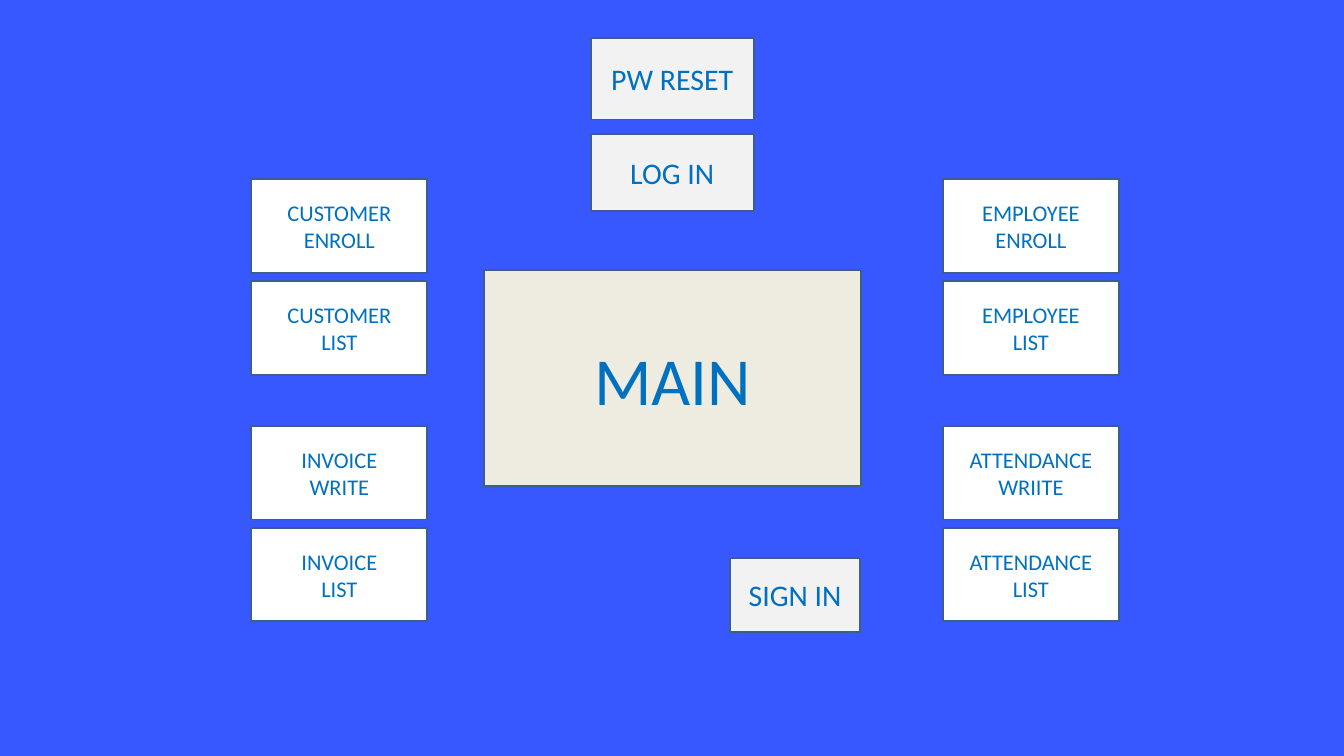
"""Build a screen map slide: a main screen surrounded by its entry and record screens."""

from dataclasses import dataclass

import pptx
import pptx.dml.color
import pptx.enum.shapes
import pptx.enum.text
import pptx.presentation
import pptx.slide
import pptx.text.text
import pptx.util


@dataclass(frozen=True)
class Theme:
    """Colours, font and type sizes of the slide."""

    background: str = "3758FF"
    main_fill: str = "EEECE1"
    access_fill: str = "F2F2F2"
    record_fill: str = "FFFFFF"
    outline: str = "3A5F8C"
    text: str = "0070C0"
    font: str = "Calibri"
    main_size: float = 72
    access_size: float = 32
    record_size: float = 24
    outline_width: float = 2


@dataclass(frozen=True)
class Screen:
    """A screen box, with its place and size in points."""

    label: str
    left: float
    top: float
    width: float
    height: float
    fill: str
    size: float


THEME = Theme()
SLIDE_WIDTH, SLIDE_HEIGHT = 1440, 810
RECORD_WIDTH, RECORD_HEIGHT = 188.6, 100.1
PAIR_TOPS = (192.2, 456.6)
PAIR_PITCH = 109.1
RECORD_COLUMNS = {
    1010.2: (("EMPLOYEE ENROLL", "EMPLOYEE\nLIST"), ("ATTENDANCE\nWRIITE", "ATTENDANCE\nLIST")),
    269.3: (("CUSTOMER\nENROLL", "CUSTOMER\nLIST"), ("INVOICE\nWRITE", "INVOICE\nLIST")),
}
CENTRAL_SCREENS = (
    Screen("MAIN", 518.4, 289.4, 403.9, 231.8, THEME.main_fill, THEME.main_size),
    Screen("SIGN IN", 782, 597.6, 139.8, 79.2, THEME.access_fill, THEME.access_size),
    Screen("LOG IN", 632.8, 144, 175, 82.1, THEME.access_fill, THEME.access_size),
    Screen("PW RESET", 632.8, 41, 175, 87.1, THEME.access_fill, THEME.access_size),
)


def color(value: str) -> pptx.dml.color.RGBColor:
    """Return the colour for a hexadecimal value."""
    return pptx.dml.color.RGBColor.from_string(value)


def write_text(frame: pptx.text.text.TextFrame, text: str, *, size: float, fill: str, font: str) -> None:
    """Write centred text, one paragraph for each line."""
    frame.word_wrap = True
    frame.vertical_anchor = pptx.enum.text.MSO_ANCHOR.MIDDLE
    frame.text = text
    for paragraph in frame.paragraphs:
        paragraph.alignment = pptx.enum.text.PP_ALIGN.CENTER
        for run in paragraph.runs:
            run.font.size = pptx.util.Pt(size)
            run.font.name = font
            run.font.color.rgb = color(fill)


def draw_screen(slide: pptx.slide.Slide, screen: Screen) -> None:
    """Draw one outlined screen box with its label."""
    bounds = (screen.left, screen.top, screen.width, screen.height)
    shape = slide.shapes.add_shape(
        pptx.enum.shapes.MSO_SHAPE.RECTANGLE, *(pptx.util.Pt(length) for length in bounds)
    )
    shape.shadow.inherit = False
    shape.fill.solid()
    shape.fill.fore_color.rgb = color(screen.fill)
    shape.line.color.rgb = color(THEME.outline)
    shape.line.width = pptx.util.Pt(THEME.outline_width)
    write_text(shape.text_frame, screen.label, size=screen.size, fill=THEME.text, font=THEME.font)


def record_screens() -> list[Screen]:
    """Lay out the record screens in two columns of two pairs."""
    return [
        Screen(label, left, top + row * PAIR_PITCH, RECORD_WIDTH, RECORD_HEIGHT,
               THEME.record_fill, THEME.record_size)
        for left, pairs in RECORD_COLUMNS.items()
        for top, pair in zip(PAIR_TOPS, pairs)
        for row, label in enumerate(pair)
    ]


def main() -> None:
    """Build and save the presentation."""
    presentation = pptx.Presentation()
    presentation.slide_width = pptx.util.Pt(SLIDE_WIDTH)
    presentation.slide_height = pptx.util.Pt(SLIDE_HEIGHT)
    slide = presentation.slides.add_slide(presentation.slide_layouts[6])
    slide.background.fill.solid()
    slide.background.fill.fore_color.rgb = color(THEME.background)
    for screen in (*CENTRAL_SCREENS, *record_screens()):
        draw_screen(slide, screen)
    presentation.save("out.pptx")


if __name__ == "__main__":
    main()
